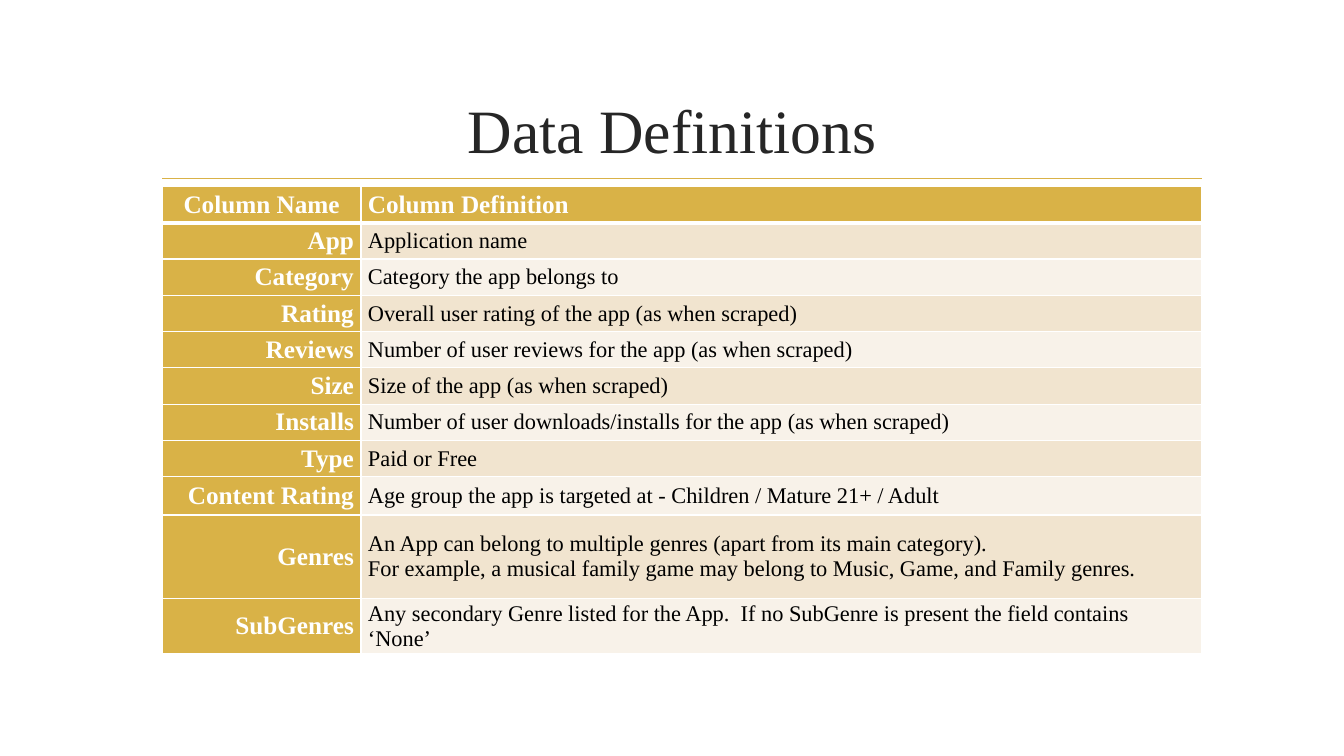
from dataclasses import dataclass

from lxml.etree import SubElement
from pptx import Presentation
from pptx.dml.color import RGBColor
from pptx.enum.shapes import MSO_CONNECTOR
from pptx.enum.text import MSO_ANCHOR, PP_ALIGN
from pptx.oxml.ns import qn
from pptx.util import Inches, Pt

FONT = "Times New Roman"
GOLD = RGBColor(0xD9, 0xB2, 0x47)
SAND = RGBColor(0xF1, 0xE4, 0xCF)
CREAM = RGBColor(0xF8, 0xF2, 0xE9)
WHITE = RGBColor(0xFF, 0xFF, 0xFF)
BLACK = RGBColor(0, 0, 0)
CHARCOAL = RGBColor(0x26, 0x26, 0x26)

LEFT, WIDTH = 1.61, 10.31
COLUMN_WIDTHS = (1.97, 8.34)

HEADING = {"name": FONT, "size": Pt(18), "bold": True}
BODY = {"name": FONT, "size": Pt(16), "bold": False}
TITLE = {"name": FONT, "size": Pt(44), "bold": False}


@dataclass
class Definition:
    name: str
    meaning: str
    height: float = 0.36


DEFINITIONS = [
    Definition("App", "Application name"),
    Definition("Category", "Category the app belongs to"),
    Definition("Rating", "Overall user rating of the app (as when scraped)"),
    Definition("Reviews", "Number of user reviews for the app (as when scraped)"),
    Definition("Size", "Size of the app (as when scraped)"),
    Definition("Installs", "Number of user downloads/installs for the app (as when scraped)"),
    Definition("Type", "Paid or Free"),
    Definition("Content Rating",
               "Age group the app is targeted at - Children / Mature 21+ / Adult", 0.38),
    Definition("Genres",
               "An App can belong to multiple genres (apart from its main category).\n"
               "For example, a musical family game may belong to Music, Game, and Family genres.",
               0.83),
    Definition("SubGenres",
               "Any secondary Genre listed for the App.  If no SubGenre is present "
               "the field contains ‘None’", 0.55),
]
HEADER = Definition("Column Name", "Column Definition")


def write_text(tf, text: str, style: dict, color: RGBColor, align: PP_ALIGN) -> None:
    tf.word_wrap = True
    tf.text = text
    for p in tf.paragraphs:
        p.alignment = align
        for r in p.runs:
            for key, value in style.items():
                setattr(r.font, key, value)
            r.font.color.rgb = color


def add_borders(cell, top: float, bottom: float) -> None:
    """Draw white cell edges; widths are in points."""
    tc_pr = cell._tc.get_or_add_tcPr()
    for side, width in {"lnL": 1, "lnR": 1, "lnT": top, "lnB": bottom}.items():
        ln = SubElement(tc_pr, qn(f"a:{side}"), w=str(Pt(width)))
        fill = SubElement(ln, qn("a:solidFill"))
        SubElement(fill, qn("a:srgbClr"), val=str(WHITE))


def fill_cell(cell, text: str, style: dict, color: RGBColor,
              align: PP_ALIGN, background: RGBColor, row: int) -> None:
    layout = {"margin_left": Inches(0.07), "margin_right": Inches(0.07),
              "margin_top": 0, "margin_bottom": 0,
              "vertical_anchor": MSO_ANCHOR.MIDDLE}
    for key, value in layout.items():
        setattr(cell, key, value)
    add_borders(cell, top=3 if row == 1 else 1, bottom=3 if row == 0 else 1)
    cell.fill.solid()
    cell.fill.fore_color.rgb = background
    write_text(cell.text_frame, text, style, color, align)


def add_title(s) -> None:
    sp = s.shapes.add_textbox(Inches(1.42), Inches(0.86), Inches(10.5), Inches(0.83))
    sp.text_frame.vertical_anchor = MSO_ANCHOR.MIDDLE
    write_text(sp.text_frame, "Data Definitions", TITLE, CHARCOAL, PP_ALIGN.CENTER)


def add_definition_table(s) -> None:
    rows = [HEADER, *DEFINITIONS]
    height = sum(d.height for d in rows)
    table = s.shapes.add_table(len(rows), 2, Inches(LEFT), Inches(1.85),
                               Inches(WIDTH), Inches(height)).table
    for column, width in zip(table.columns, COLUMN_WIDTHS):
        column.width = Inches(width)
    for i, d in enumerate(rows):
        table.rows[i].height = Inches(d.height)
        name, meaning = table.cell(i, 0), table.cell(i, 1)
        if i == 0:
            fill_cell(name, d.name, HEADING, WHITE, PP_ALIGN.CENTER, GOLD, i)
            fill_cell(meaning, d.meaning, HEADING, WHITE, PP_ALIGN.LEFT, GOLD, i)
        else:
            band = SAND if i % 2 else CREAM
            fill_cell(name, d.name, HEADING, WHITE, PP_ALIGN.RIGHT, GOLD, i)
            fill_cell(meaning, d.meaning, BODY, BLACK, PP_ALIGN.LEFT, band, i)


def add_title_rule(s) -> None:
    rule = s.shapes.add_connector(MSO_CONNECTOR.STRAIGHT, Inches(LEFT), Inches(1.77),
                                  Inches(LEFT + WIDTH), Inches(1.77))
    rule.line.color.rgb = GOLD
    rule.line.width = Pt(1.25)
    SubElement(rule._element.spPr, qn("a:effectLst"))


def main() -> None:
    prs = Presentation()
    prs.slide_width, prs.slide_height = Inches(13.33), Inches(7.5)
    s = prs.slides.add_slide(prs.slide_layouts[6])
    add_title(s)
    add_definition_table(s)
    add_title_rule(s)
    prs.save("out.pptx")


if __name__ == "__main__":
    main()
